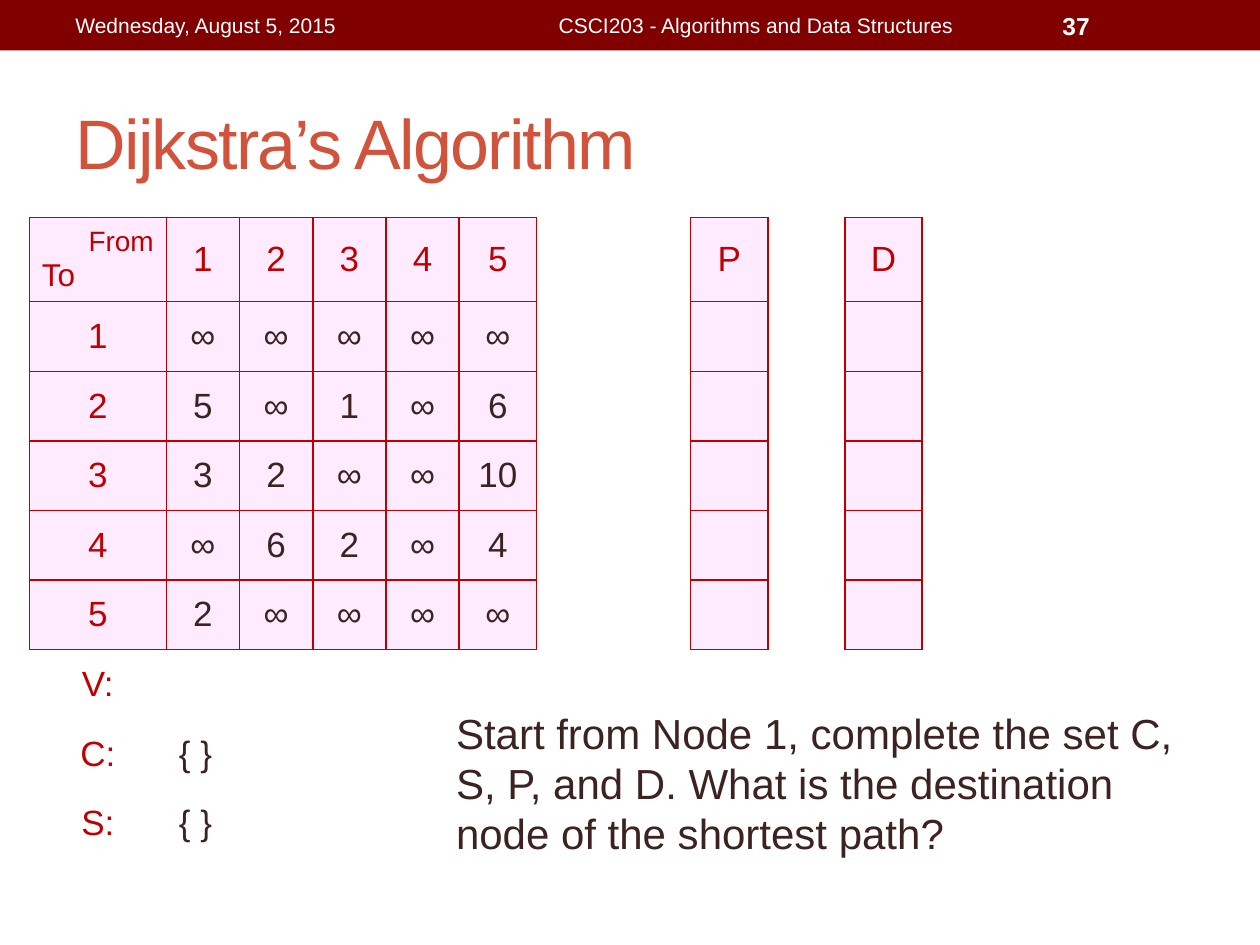
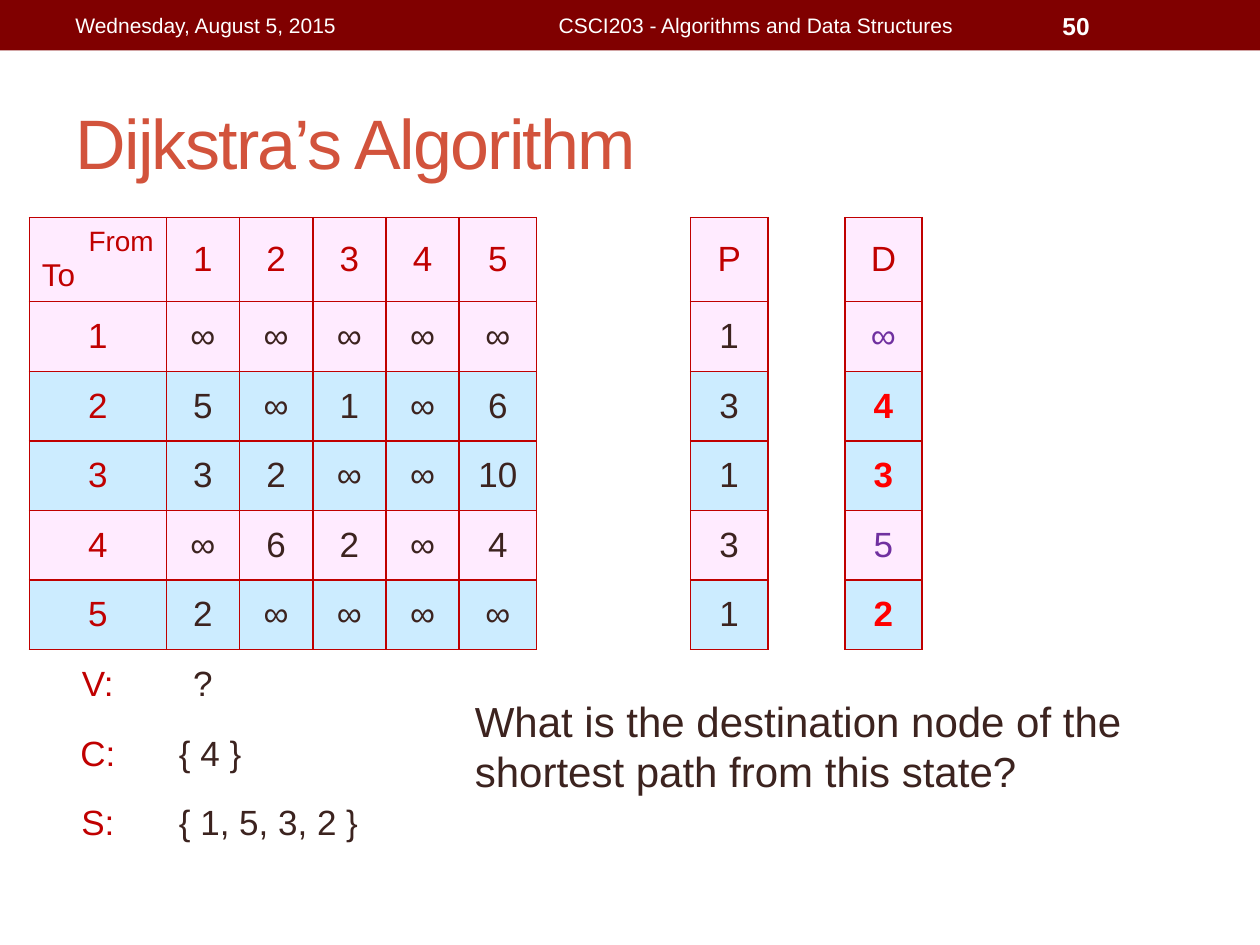
from lxml import etree
from pptx import Presentation
from pptx.dml.color import RGBColor
from pptx.enum.shapes import MSO_SHAPE
from pptx.enum.text import MSO_ANCHOR, MSO_AUTO_SIZE, PP_ALIGN
from pptx.oxml.ns import qn
from pptx.util import Pt

LEFT, CENTER, RIGHT = PP_ALIGN.LEFT, PP_ALIGN.CENTER, PP_ALIGN.RIGHT
MIDDLE, TOP = MSO_ANCHOR.MIDDLE, MSO_ANCHOR.TOP

FONT = "Arial"
COLORS = {
    "band": "800000", "title": "D2533C", "white": "FFFFFF", "text": "3C231F",
    "label": "C00000", "open": "FFEBFF", "settled": "CCECFF",
    "tentative": "7030A0", "final": "FF0000",
}

DATE = "Wednesday, August 5, 2015"
COURSE = "CSCI203 - Algorithms and Data Structures"
TITLE = "Dijkstra’s Algorithm"
NODES = ["1", "2", "3", "4", "5"]
COSTS = [
    ["∞", "∞", "∞", "∞", "∞"],
    ["5", "∞", "1", "∞", "6"],
    ["3", "2", "∞", "∞", "10"],
    ["∞", "6", "2", "∞", "4"],
    ["2", "∞", "∞", "∞", "∞"],
]
STATES = [
    {
        "number": "37", "P": [""] * 5, "D": [""] * 5, "settled": [],
        "V": "", "C": "{ }", "S": "{ }",
        "question": "Start from Node 1, complete the set C, S, P, and D. "
                    "What is the destination node of the shortest path?",
        "question_at": (253.5, 400.5, 427.5, 94.5),
    },
    {
        "number": "50", "P": ["1", "3", "1", "3", "1"],
        "D": ["∞", "4", "3", "5", "2"], "settled": ["2", "3", "5"],
        "V": "?", "C": "{ 4 }", "S": "{ 1, 5, 3, 2 }",
        "question": "What is the destination node of the shortest path "
                    "from this state?",
        "question_at": (264.25, 393.75, 427.5, 65.5),
    },
]

COLUMN_WIDTHS = [78.3] + [41.85] * 4 + [44.1] * 6
ROW_HEIGHTS = [47.8] + [39.75] * 8
TABLE_LEFT, TABLE_TOP = 16.75, 124.4
P_COLUMN, D_COLUMN = 8, 10
BOXED_COLUMNS = set(range(len(NODES) + 1)) | {P_COLUMN, D_COLUMN}


def rgb(name):
    return RGBColor.from_string(COLORS[name])


def style(para, size, color, align=LEFT, bold=False):
    para.alignment = align
    font = para.font
    font.name, font.size, font.bold = FONT, Pt(size), bold
    font.color.rgb = rgb(color)


def add_text(slide, text, at, size, color, align=LEFT, bold=False, anchor=MIDDLE):
    box = slide.shapes.add_textbox(*map(Pt, at))
    frame = box.text_frame
    frame.word_wrap = True
    frame.vertical_anchor = anchor
    frame.text = text
    style(frame.paragraphs[0], size, color, align, bold)


def add_header(slide, number):
    band = slide.shapes.add_shape(MSO_SHAPE.RECTANGLE, 0, 0, Pt(720), Pt(28.8))
    band.shadow.inherit = False
    band.fill.solid()
    band.fill.fore_color.rgb = rgb("band")
    band.line.fill.background()
    add_text(slide, DATE, (36, 1.5, 228, 26), 12, "white")
    add_text(slide, COURSE, (270, 1.5, 324, 26), 12, "white", CENTER)
    add_text(slide, number, (600, 1.5, 84, 26), 14, "white", bold=True)


def format_title(title):
    title.left, title.top, title.width, title.height = map(Pt, (36, 42, 648, 78))
    frame = title.text_frame
    frame.text = TITLE
    frame.auto_size = MSO_AUTO_SIZE.NONE
    frame.vertical_anchor = MIDDLE
    para = frame.paragraphs[0]
    style(para, 40, "title")
    para.runs[0].font._element.set("spc", "-100")


def is_boxed(row, column):
    return 0 <= row <= len(NODES) and column in BOXED_COLUMNS


def set_borders(cell, row, column):
    """Rule each edge that touches a boxed cell and clear the others."""
    neighbours = {"a:lnL": (row, column - 1), "a:lnR": (row, column + 1),
                  "a:lnT": (row - 1, column), "a:lnB": (row + 1, column)}
    properties = cell._tc.get_or_add_tcPr()
    for index, (tag, neighbour) in enumerate(neighbours.items()):
        line = etree.Element(qn(tag), w=str(Pt(1)))
        if is_boxed(row, column) or is_boxed(*neighbour):
            fill = etree.SubElement(line, qn("a:solidFill"))
            etree.SubElement(fill, qn("a:srgbClr"), val=COLORS["label"])
        else:
            etree.SubElement(line, qn("a:noFill"))
        properties.insert(index, line)


def write(cell, text, color="text", align=CENTER, bold=False):
    cell.text = text
    style(cell.text_frame.paragraphs[0], 20, color, align, bold)


def add_state_table(slide, state):
    shape = slide.shapes.add_table(
        len(ROW_HEIGHTS), len(COLUMN_WIDTHS), Pt(TABLE_LEFT), Pt(TABLE_TOP),
        Pt(sum(COLUMN_WIDTHS)), Pt(sum(ROW_HEIGHTS)))
    table = shape.table
    table.first_row = table.horz_banding = False
    for column, width in zip(table.columns, COLUMN_WIDTHS):
        column.width = Pt(width)
    for row, height in zip(table.rows, ROW_HEIGHTS):
        row.height = Pt(height)

    for r in range(len(ROW_HEIGHTS)):
        settled = 0 < r <= len(NODES) and NODES[r - 1] in state["settled"]
        for c in range(len(COLUMN_WIDTHS)):
            cell = table.cell(r, c)
            cell.vertical_anchor = MIDDLE
            if is_boxed(r, c):
                cell.fill.solid()
                cell.fill.fore_color.rgb = rgb("settled" if settled else "open")
            else:
                cell.fill.background()
            set_borders(cell, r, c)

    corner = table.cell(0, 0)
    corner.text = "From\nTo"
    from_para, to_para = corner.text_frame.paragraphs
    style(from_para, 16, "label", RIGHT)
    style(to_para, 18, "label")

    for i, node in enumerate(NODES, start=1):
        write(table.cell(0, i), node, "label")
        write(table.cell(i, 0), node, "label")
        for j, cost in enumerate(COSTS[i - 1], start=1):
            write(table.cell(i, j), cost)
        settled = node in state["settled"]
        write(table.cell(i, P_COLUMN), state["P"][i - 1])
        write(table.cell(i, D_COLUMN), state["D"][i - 1],
              "final" if settled else "tentative", bold=settled)
    write(table.cell(0, P_COLUMN), "P", "label")
    write(table.cell(0, D_COLUMN), "D", "label")

    for r, name in enumerate("VCS", start=len(NODES) + 1):
        write(table.cell(r, 0), name + ":", "label")
        value = table.cell(r, 1)
        if name != "V":
            value.merge(table.cell(r, len(COLUMN_WIDTHS) - 1))
        write(value, state[name], align=CENTER if name == "V" else LEFT)


def main():
    deck = Presentation()
    deck.slide_width, deck.slide_height = Pt(720), Pt(540)
    for state in STATES:
        slide = deck.slides.add_slide(deck.slide_layouts[5])
        add_header(slide, state["number"])
        format_title(slide.shapes.title)
        add_state_table(slide, state)
        add_text(slide, state["question"], state["question_at"], 24, "text",
                 anchor=TOP)
    deck.save("out.pptx")


if __name__ == "__main__":
    main()
